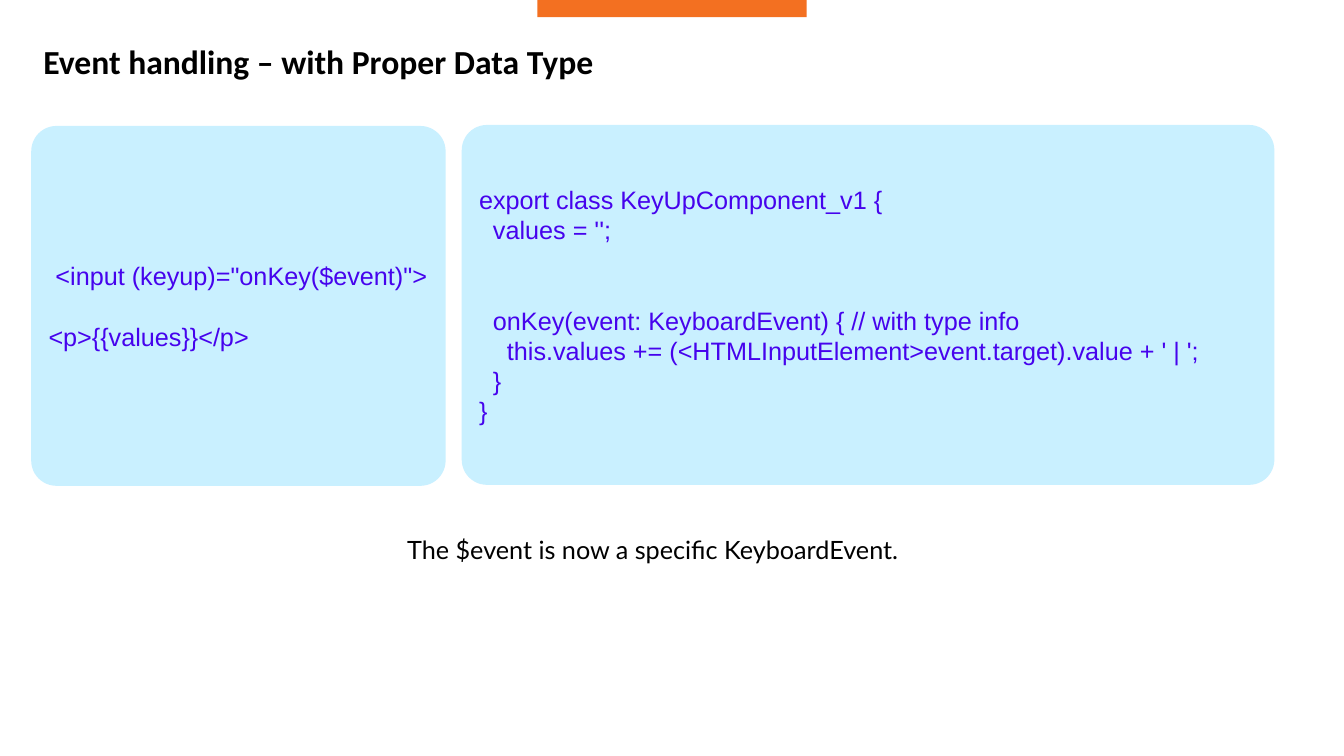
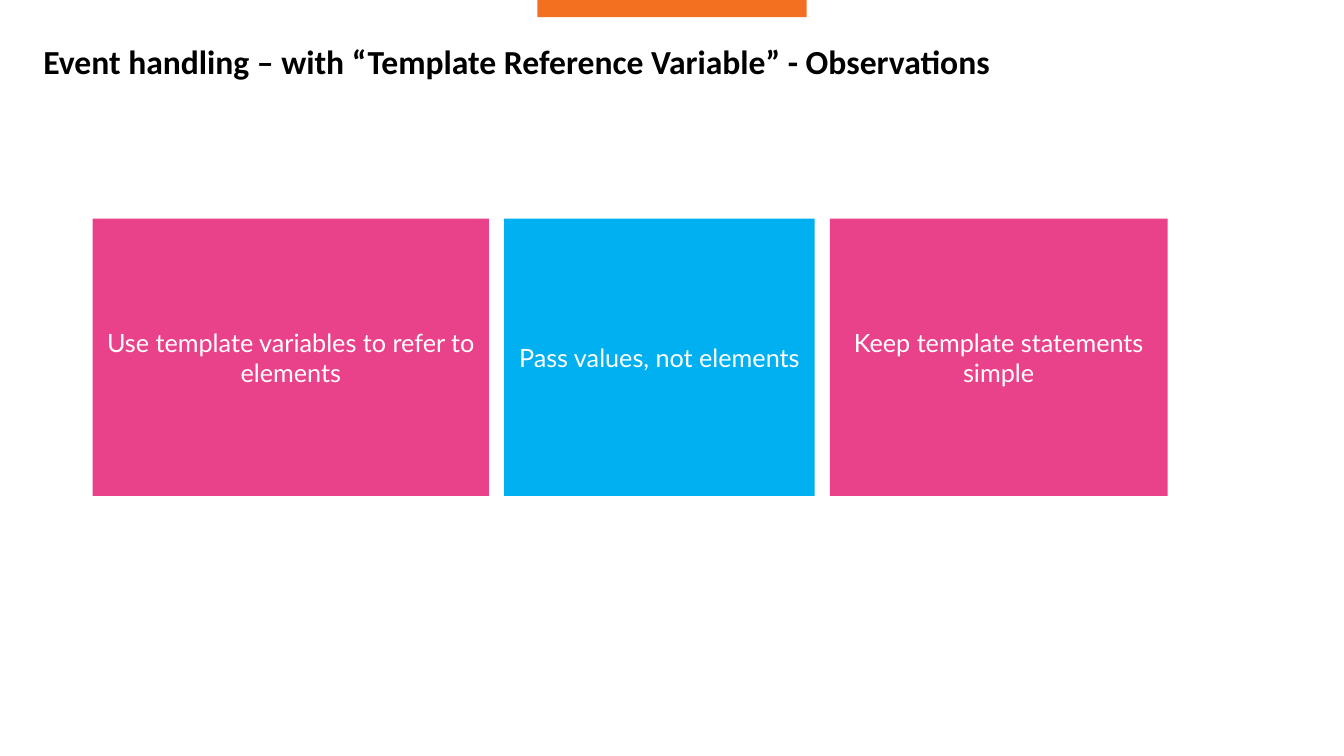
from pptx import Presentation
from pptx.dml.color import RGBColor
from pptx.enum.shapes import MSO_SHAPE as SHAPE
from pptx.enum.text import MSO_ANCHOR as ANCHOR, MSO_AUTO_SIZE as AUTO_SIZE, PP_ALIGN as ALIGN
from pptx.util import Inches, Pt

BLACK = RGBColor(0x00, 0x00, 0x00)
WHITE = RGBColor(0xFF, 0xFF, 0xFF)
ORANGE = RGBColor(0xF3, 0x70, 0x21)
PALE_BLUE = RGBColor(0xC9, 0xF0, 0xFF)
VIOLET = RGBColor(0x46, 0x03, 0xED)
PINK = RGBColor(0xEA, 0x42, 0x8A)
BLUE = RGBColor(0x00, 0xB0, 0xF0)

TITLE_FONT = {"name": "Calibri", "size": Pt(24), "bold": True}
CODE_FONT = {"name": "Arial", "size": Pt(18)}
BODY_FONT = {"name": "Lato", "size": Pt(18)}
CODE_LINE = 21.6  # line pitch in points


def add_panel(page, kind, left, top, width, height, fill):
    panel = page.shapes.add_shape(kind, Inches(left), Inches(top), Inches(width), Inches(height))
    panel.shadow.inherit = False
    panel.fill.solid()
    panel.fill.fore_color.rgb = fill
    panel.line.fill.background()
    panel.text_frame.word_wrap = True
    panel.text_frame.vertical_anchor = ANCHOR.MIDDLE
    return panel


def write(para, text, font, color, align=ALIGN.LEFT):
    para.alignment = align
    span = para.add_run()
    span.text = text
    for key, value in font.items():
        setattr(span.font, key, value)
    span.font.color.rgb = color


deck = Presentation()
deck.slide_width, deck.slide_height = Inches(13.33), Inches(7.5)

# Shared parts: orange band and title
titles = [
    "Event handling – with Proper Data Type",
    "Event handling – with “Template Reference Variable” - Observations",
]
pages = []
for text in titles:
    page = deck.slides.add_slide(deck.slide_layouts[5])
    add_panel(page, SHAPE.RECTANGLE, 5.33, 0, 2.67, 0.17, ORANGE)
    title = page.shapes.title
    title.left, title.top = Inches(0.33), Inches(0.43)
    title.width, title.height = Inches(12.67), Inches(0.57)
    frame = title.text_frame
    frame.auto_size = AUTO_SIZE.NONE
    frame.vertical_anchor = ANCHOR.TOP
    frame.paragraphs[0].line_spacing = 0.8
    write(frame.paragraphs[0], text, TITLE_FONT, BLACK)
    pages.append(page)
typed_page, observations_page = pages

# Code panels: left, top, width, then (empty lines before, code)
code_panels = [
    (0.31, 1.25, 4.11, [
        (0, ' <input (keyup)="onKey($event)">'),
        (1, "<p>{{values}}</p>"),
    ]),
    (4.58, 1.24, 8.06, [
        (0, "export class KeyUpComponent_v1 {"),
        (0, "  values = '';"),
        (2, "  onKey(event: KeyboardEvent) { // with type info"),
        (0, "    this.values += (<HTMLInputElement>event.target).value + ' | ';"),
        (0, "  }"),
        (0, "}"),
    ]),
]
for left, top, width, lines in code_panels:
    panel = add_panel(typed_page, SHAPE.ROUNDED_RECTANGLE, left, top, width, 3.57, PALE_BLUE)
    panel.adjustments[0] = 0.07
    frame = panel.text_frame
    frame.margin_right = 0
    for index, (gap, code) in enumerate(lines):
        para = frame.add_paragraph() if index else frame.paragraphs[0]
        para.line_spacing = Pt(CODE_LINE)
        if gap:
            para.space_before = Pt(gap * CODE_LINE)
        write(para, code, CODE_FONT, VIOLET)

# Remark below the code
box = typed_page.shapes.add_textbox(Inches(0.31), Inches(5.25), Inches(12.33), Inches(0.4))
box.text_frame.word_wrap = True
write(box.text_frame.paragraphs[0], "The $event is now a specific KeyboardEvent.",
      BODY_FONT, BLACK, ALIGN.CENTER)

# Observation cards, side by side with equal gaps
left, gap = 0.92, 0.15
cards = [
    (3.93, PINK, "Use template variables to refer to elements"),
    (3.08, BLUE, "Pass values, not elements"),
    (3.35, PINK, "Keep template statements simple"),
]
for width, fill, text in cards:
    card = add_panel(observations_page, SHAPE.RECTANGLE, left, 2.17, width, 2.75, fill)
    write(card.text_frame.paragraphs[0], text, BODY_FONT, WHITE, ALIGN.CENTER)
    left += width + gap

deck.save("out.pptx")
